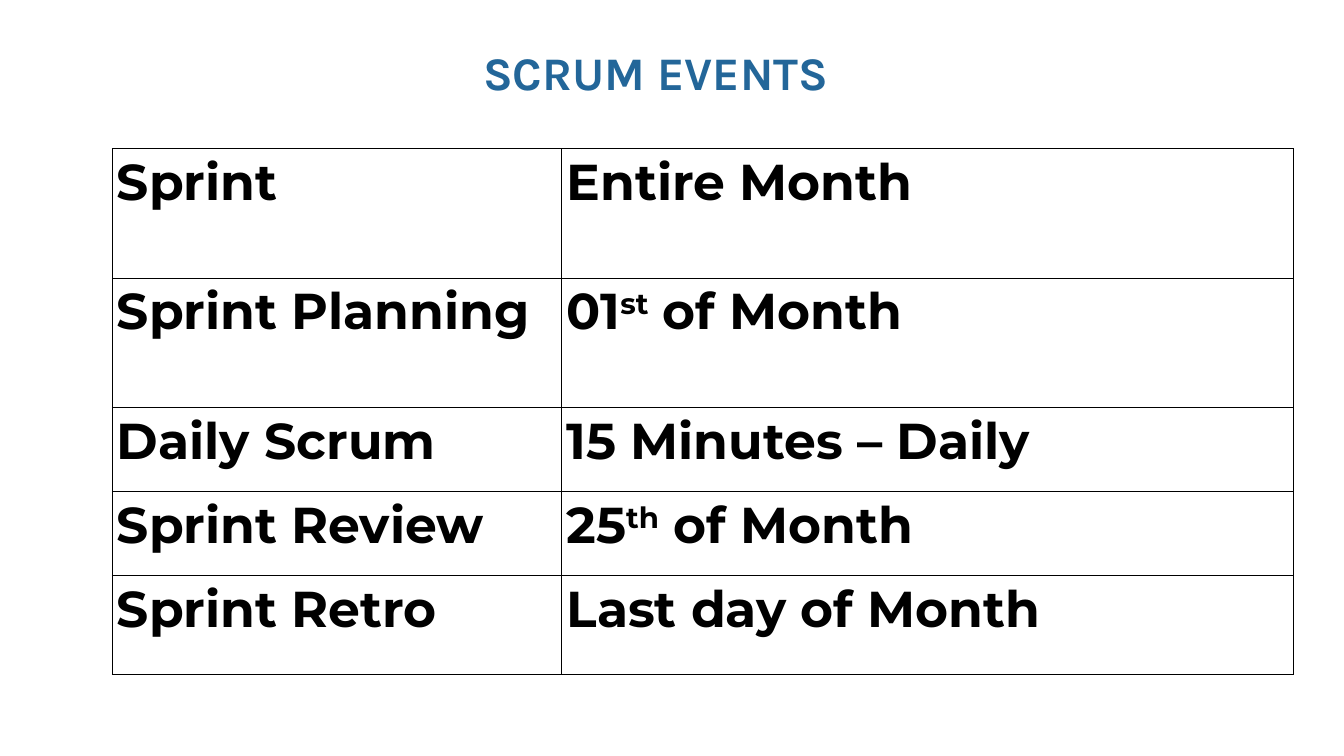
from lxml.etree import SubElement
from pptx import Presentation
from pptx.dml.color import RGBColor
from pptx.oxml.ns import qn
from pptx.util import Emu, Pt

PX = 9144  # 100 px to the inch
BLACK, WHITE, BLUE = "000000", "FFFFFF", "236699"

COLUMNS = [669, 1089]
ROWS = [193, 193, 125, 125, 147]
# Each cell is a list of runs; every second run is superscript
EVENTS = [
    (["Sprint"], ["Entire Month"]),
    (["Sprint Planning"], ["01", "st", " of Month"]),
    (["Daily Scrum"], ["15 Minutes – Daily"]),
    (["Sprint Review"], ["25", "th", " of Month"]),
    (["Sprint Retro"], ["Last day of Month"]),
]


def px(n):
    return Emu(n * PX)


def rgb(color):
    return RGBColor.from_string(color)


def style_run(r, size, font, color):
    r.font.size = Pt(size)
    r.font.name = font
    r.font.bold = True
    r.font.color.rgb = rgb(color)


def add_title(s, x, y, w, h):
    tf = s.shapes.add_textbox(px(x), px(y), px(w), px(h)).text_frame
    tf.word_wrap = True
    tf.margin_left = tf.margin_right = tf.margin_top = tf.margin_bottom = 0
    p = tf.paragraphs[0]
    p.text = "SCRUM EVENTS"
    p.space_before = Pt(5)
    style_run(p.runs[0], 50, "Karla", BLUE)


def add_borders(cell):
    tc_pr = cell._tc.get_or_add_tcPr()
    for i, side in enumerate(("lnL", "lnR", "lnT", "lnB")):
        ln = tc_pr.makeelement(qn(f"a:{side}"), {"w": str(Pt(1))})
        fill = SubElement(ln, qn("a:solidFill"))
        SubElement(fill, qn("a:srgbClr"), val=BLACK)
        tc_pr.insert(i, ln)  # borders come before the fill


def fill_cell(cell, parts):
    cell.margin_left = cell.margin_right = px(7)
    cell.margin_top = cell.margin_bottom = px(4)
    cell.fill.solid()
    cell.fill.fore_color.rgb = rgb(WHITE)
    add_borders(cell)
    p = cell.text_frame.paragraphs[0]
    for i, part in enumerate(parts):
        r = p.add_run()
        r.text = part
        style_run(r, 54, "Montserrat", BLACK)
        if i % 2:
            r.font._element.set("baseline", "30000")


def add_events_table(s, x, y):
    frame = s.shapes.add_table(len(ROWS), len(COLUMNS), px(x), px(y),
                               px(sum(COLUMNS)), px(sum(ROWS)))
    table = frame.table
    table.first_row = table.horz_banding = False
    for column, width in zip(table.columns, COLUMNS):
        column.width = px(width)
    for row, height, event in zip(table.rows, ROWS, EVENTS):
        row.height = px(height)
        for cell, parts in zip(row.cells, event):
            fill_cell(cell, parts)


def main():
    prs = Presentation()
    prs.slide_width, prs.slide_height = px(2000), px(1125)
    s = prs.slides.add_slide(prs.slide_layouts[6])
    add_events_table(s, 167, 221)
    add_title(s, 719, 65, 563, 84)
    prs.save("out.pptx")


if __name__ == "__main__":
    main()
